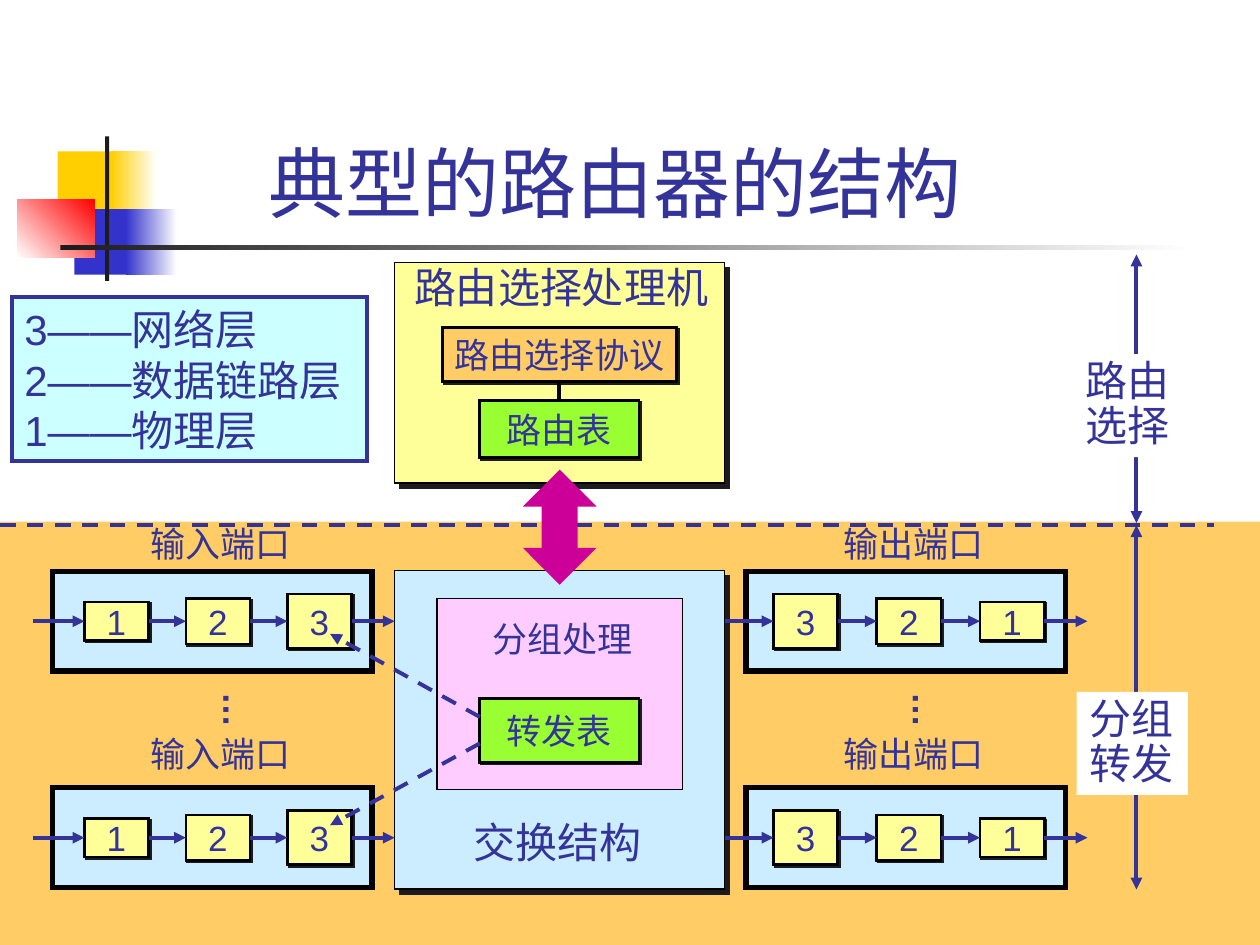
from lxml import etree
from pptx import Presentation
from pptx.dml.color import RGBColor
from pptx.enum import dml, shapes, text
from pptx.oxml.ns import qn
from pptx.util import Pt

NAVY = RGBColor(0x33, 0x33, 0x99)
BLACK = RGBColor(0, 0, 0)
WHITE = RGBColor(255, 255, 255)
INK = RGBColor(0x1C, 0x1C, 0x1C)
GOLD = RGBColor(0xFF, 0xCF, 0x01)
BLUE = RGBColor(0x33, 0x33, 0xCC)
RED = RGBColor(255, 0, 0)
SAND = RGBColor(0xFF, 0xCC, 0x66)
CREAM = RGBColor(0xFF, 0xFF, 0x99)
LIME = RGBColor(0x99, 0xFF, 0x33)
SKY = RGBColor(0xCC, 0xEC, 0xFF)
PINK = RGBColor(0xFF, 0xCC, 0xFF)
AQUA = RGBColor(0xCC, 0xFF, 0xFF)
PLUM = RGBColor(0xCC, 0x00, 0x99)

RECT = shapes.MSO_SHAPE.RECTANGLE
HEIGHTS = {"1": 22, "2": 26, "3": 31}
SIDE = 36.7


def style(frame, words, size, bold=None, gap=None):
    frame.text = words
    for par in frame.paragraphs:
        par.line_spacing = gap
        for run in par.runs:
            run.font.name = "Arial"
            run.font.size = Pt(size)
            run.font.bold = bold
            run.font.color.rgb = NAVY


def cast(shape, dist):
    effects = shape.element.spPr.find(qn("a:effectLst"))
    shade = etree.SubElement(effects, qn("a:outerShdw"), dist=str(Pt(dist)),
                             dir="2700000", algn="ctr", rotWithShape="0")
    etree.SubElement(shade, qn("a:srgbClr"), val=str(INK))


def block(slide, x, y, w, h, fill, line=None, width=1, shade=0, kind=RECT):
    shape = slide.shapes.add_shape(kind, Pt(x), Pt(y), Pt(w), Pt(h))
    shape.shadow.inherit = False
    shape.fill.solid()
    shape.fill.fore_color.rgb = fill
    if line is None:
        shape.line.fill.background()
    else:
        shape.line.color.rgb = line
        shape.line.width = Pt(width)
        etree.SubElement(shape.element.spPr.find(qn("a:ln")), qn("a:miter"), lim="800000")
    if shade:
        cast(shape, shade)
    return shape


def fade(slide, x, y, w, h, start, end, angle=0):
    shape = block(slide, x, y, w, h, start)
    shape.fill.gradient()
    shape.fill.gradient_angle = angle
    for stop, color in zip(shape.fill.gradient_stops, (start, end)):
        stop.color.rgb = color


def node(slide, x, y, w, h, words, fill):
    shape = block(slide, x, y, w, h, fill, BLACK, 1.5, 1.4)
    frame = shape.text_frame
    style(frame, words, 20)
    frame.word_wrap = False
    frame.vertical_anchor = text.MSO_ANCHOR.MIDDLE
    frame.paragraphs[0].alignment = text.PP_ALIGN.CENTER
    return shape


def fit(shape, words, size, bold=None, gap=None):
    frame = shape.text_frame
    style(frame, words, size, bold, gap)
    frame.word_wrap = False
    frame.auto_size = text.MSO_AUTO_SIZE.SHAPE_TO_FIT_TEXT
    frame.vertical_anchor = text.MSO_ANCHOR.TOP
    for par in frame.paragraphs:
        par.alignment = text.PP_ALIGN.LEFT


def label(slide, x, y, w, h, words, size=20, bold=None, turn=0):
    box = slide.shapes.add_textbox(Pt(x), Pt(y), Pt(w), Pt(h))
    fit(box, words, size, bold)
    box.rotation = turn


def link(slide, x1, y1, x2, y2, color=NAVY, dash=False, ends=("tailEnd",)):
    line = slide.shapes.add_connector(shapes.MSO_CONNECTOR.STRAIGHT,
                                      Pt(x1), Pt(y1), Pt(x2), Pt(y2))
    line.line.color.rgb = color
    line.line.width = Pt(2.25)
    if dash:
        line.line.dash_style = dml.MSO_LINE.DASH
    props = line.element.spPr
    for end in ends:
        etree.SubElement(props.find(qn("a:ln")), qn("a:" + end), type="triangle")
    etree.SubElement(props, qn("a:effectLst"))
    return line


def port(slide, x, mid, first, step, order, start, stop):
    block(slide, x, mid - 28.5, 182.5, 57, SKY, BLACK, 3)
    last = None
    for i, digit in enumerate(order):
        left, high = first + i * step, HEIGHTS[digit]
        box = node(slide, left, mid - high / 2, SIDE, high, digit, CREAM)
        line = link(slide, start, mid, left, mid)
        if last is not None:
            line.begin_connect(last, 3)
        line.end_connect(box, 1)
        last = box
    link(slide, left + SIDE, mid, stop, mid).begin_connect(last, 3)


def decor(slide):
    block(slide, 33, 86.5, 34.5, 37.5, GOLD)
    fade(slide, 63.5, 86.5, 26, 37.5, GOLD, WHITE)
    block(slide, 42.5, 119.5, 33, 37.5, BLUE)
    fade(slide, 72, 119.5, 29, 37.5, BLUE, WHITE)
    fade(slide, 10, 114, 44, 33, WHITE, RED, 45)
    block(slide, 60, 78, 2.4, 82.5, INK)
    fade(slide, 34.5, 140.2, 648, 2.4, INK, WHITE)
    block(slide, 0, 298, 720, 242, SAND)


def head(slide):
    title = slide.shapes.title
    title.left, title.top, title.width, title.height = map(Pt, (86.5, 73.5, 540, 60.5))
    frame = title.text_frame
    style(frame, "典型的路由器的结构 ", 44)
    frame.auto_size = text.MSO_AUTO_SIZE.NONE
    frame.vertical_anchor = text.MSO_ANCHOR.BOTTOM
    frame.paragraphs[0].alignment = text.PP_ALIGN.CENTER


def router(slide):
    block(slide, 225.5, 150, 188.5, 126, CREAM, BLACK, 1, 4.2)
    label(slide, 229.5, 146, 184, 36, "路由选择处理机", 24)
    rules = node(slide, 252.7, 187.2, 134, 31, "路由选择协议", SAND)
    table = node(slide, 274.2, 229, 91, 32.5, "路由表", LIME)
    join = link(slide, 319.7, 218, 319.7, 229, BLACK, ends=())
    join.begin_connect(rules, 2)
    join.end_connect(table, 0)


def switch(slide):
    block(slide, 225.5, 326, 188.5, 182, SKY, BLACK, 1, 4.2)
    label(slide, 263.5, 463, 112, 36, "交换结构", 24)
    block(slide, 249.7, 342, 140.5, 109, PINK, BLACK, 0.75)
    node(slide, 274.2, 399, 91, 36.7, "转发表", LIME)
    label(slide, 274.2, 349.2, 96, 31.5, "分组处理")


def planes(slide):
    both = ("headEnd", "tailEnd")
    link(slide, 0, 300.2, 694, 300.2, dash=True, ends=())
    for top, end, x, y, words in ((145.5, 298.8, 613.5, 202.3, "路由\n选择"),
                                  (300.2, 508.3, 615.3, 395.3, "分组\n转发")):
        link(slide, 649.4, top, 649.4, end, ends=both)
        fit(block(slide, x, y, 63.5, 59, WHITE), words, 24, gap=0.9)


def main():
    deck = Presentation()
    deck.slide_width, deck.slide_height = Pt(720), Pt(540)
    slide = deck.slides.add_slide(deck.slide_layouts[5])
    decor(slide)
    head(slide)
    router(slide)
    switch(slide)
    for mid in (355, 478.7):
        port(slide, 30.2, mid, 48.2, 58, "123", 18.7, 225.5)
        port(slide, 426.3, mid, 442, 59, "321", 414, 621.4)
    for x, words, dots in ((79, "输入端口", 118), (475, "输出端口", 512)):
        for y in (295.2, 415.2):
            label(slide, x, y, 96, 31.5, words)
        label(slide, dots, 390.2, 35, 31.5, "…", bold=True, turn=90)
    for start, stop in ((409.7, 362.2), (424.8, 471.6)):
        link(slide, 274.2, start, 188.6, stop, dash=True)
    planes(slide)
    legend = block(slide, 6.8, 170, 203, 93.6, AQUA, NAVY, 2.25)
    fit(legend, "3——网络层\n2——数据链路层\n1——物理层", 24)
    arrow = block(slide, 301.5, 270, 36.7, 62.6, PLUM, PLUM, 2.25,
                  kind=shapes.MSO_SHAPE.UP_DOWN_ARROW)
    arrow.adjustments[0], arrow.adjustments[1] = 0.34, 0.5
    deck.save("out.pptx")


if __name__ == "__main__":
    main()
